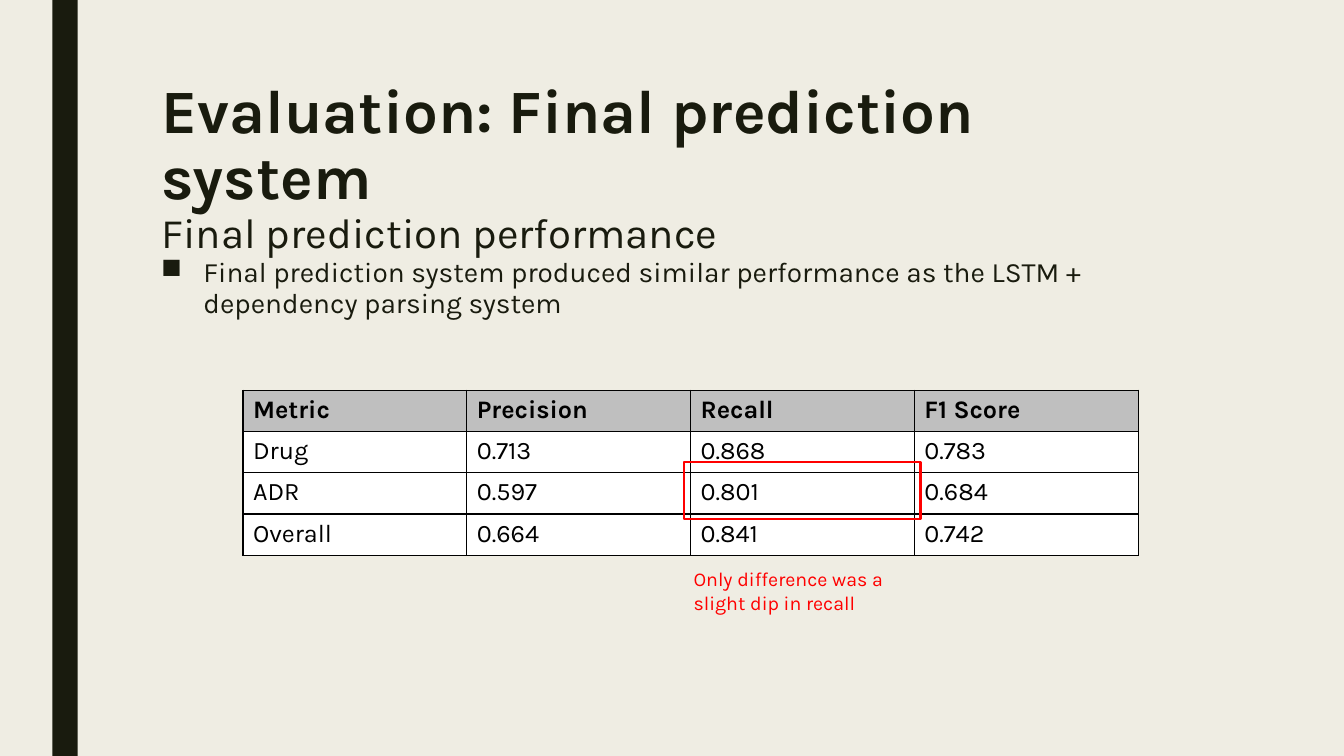
"""Slide on the performance of the final prediction system."""
from lxml import etree
from pptx import Presentation
from pptx.dml.color import RGBColor
from pptx.enum.shapes import MSO_SHAPE
from pptx.enum.text import MSO_ANCHOR, PP_ALIGN
from pptx.oxml.ns import qn
from pptx.util import Inches, Pt

RECTANGLE = MSO_SHAPE.RECTANGLE
TOP, LEFT = MSO_ANCHOR.TOP, PP_ALIGN.LEFT
CREAM = RGBColor(0xEF, 0xED, 0xE3)
DARK = RGBColor(0x19, 0x1B, 0x0E)
GREY = RGBColor(0xBF, 0xBF, 0xBF)
WHITE = RGBColor(0xFF, 0xFF, 0xFF)
BLACK = RGBColor(0x00, 0x00, 0x00)
RED = RGBColor(0xFF, 0x00, 0x00)

MARGIN, CONTENT_WIDTH = Inches(1.5), Inches(10.5)
TABLE_LEFT, TABLE_TOP = Inches(2.41), Inches(3.87)
COLUMN_WIDTH, ROW_HEIGHT = Inches(2.22), Inches(0.41)
SCORES = [
    ("Metric", "Precision", "Recall", "F1 Score"),
    ("Drug", "0.713", "0.868", "0.783"),
    ("ADR", "0.597", "0.801", "0.684"),
    ("Overall", "0.664", "0.841", "0.742"),
]


def add_text(paragraph, text, size, color, bold=False):
    run = paragraph.add_run()
    run.text = text
    font_format = {"name": "Karla", "size": Pt(size), "bold": bold}
    for attribute, value in font_format.items():
        setattr(run.font, attribute, value)
    run.font.color.rgb = color


def add_border(cell, edge):
    line = etree.SubElement(cell._tc.get_or_add_tcPr(), qn(f"a:{edge}"), w=str(Pt(1)))
    fill = etree.SubElement(line, qn("a:solidFill"))
    etree.SubElement(fill, qn("a:srgbClr"), val=str(BLACK))


prs = Presentation()
prs.slide_width, prs.slide_height = Inches(13.33), Inches(7.5)
slide = prs.slides.add_slide(prs.slide_layouts[5])
shapes = slide.shapes
slide.background.fill.solid()
slide.background.fill.fore_color.rgb = CREAM

side_bar = shapes.add_shape(RECTANGLE, Inches(0.52), 0, Inches(0.25), prs.slide_height)
side_bar.shadow.inherit = False
side_bar.fill.solid()
side_bar.fill.fore_color.rgb = DARK
side_bar.line.fill.background()

title = shapes.title
title_place = {"left": MARGIN, "top": Inches(0.75), "width": CONTENT_WIDTH, "height": Inches(1.62)}
for attribute, value in title_place.items():
    setattr(title, attribute, value)
title.text_frame.word_wrap = True
title.text_frame.vertical_anchor = TOP
heading = title.text_frame.paragraphs[0]
heading.alignment = LEFT
heading.line_spacing = 0.89
add_text(heading, "Evaluation: Final prediction system", 44, DARK, bold=True)
heading.add_line_break()
add_text(heading, "Final prediction performance", 30, DARK)

finding = shapes.add_textbox(MARGIN, Inches(2.5), CONTENT_WIDTH, Inches(3.92)).text_frame
finding.word_wrap = True
bullet = finding.paragraphs[0]
bullet.line_spacing = 0.94
bullet.space_after = Pt(2)
bullet_format = bullet._p.get_or_add_pPr()
bullet_format.set("marL", str(Inches(0.42)))
bullet_format.set("indent", str(-Inches(0.42)))
etree.SubElement(bullet_format, qn("a:buChar"), char="■")
add_text(
    bullet,
    "Final prediction system produced similar performance as the LSTM + dependency parsing system",
    20,
    DARK,
)

row_count, column_count = len(SCORES), len(SCORES[0])
table = shapes.add_table(
    row_count, column_count, TABLE_LEFT, TABLE_TOP,
    column_count * COLUMN_WIDTH, row_count * ROW_HEIGHT,
).table
for column in table.columns:
    column.width = COLUMN_WIDTH
for row_index, scores in enumerate(SCORES):
    table.rows[row_index].height = ROW_HEIGHT
    is_header = row_index == 0
    for column_index, score in enumerate(scores):
        cell = table.cell(row_index, column_index)
        add_text(cell.text_frame.paragraphs[0], score, 18, BLACK, bold=is_header)
        for edge in ("lnL", "lnR", "lnT", "lnB"):
            add_border(cell, edge)
        cell.fill.solid()
        cell.fill.fore_color.rgb = GREY if is_header else WHITE

recall_note = shapes.add_textbox(Inches(6.78), Inches(5.58), Inches(2.09), Inches(0.57)).text_frame
recall_note.word_wrap = True
add_text(recall_note.paragraphs[0], "Only difference was a slight dip in recall", 14, RED)

recall_frame = shapes.add_shape(RECTANGLE, Inches(6.78), Inches(4.58), Inches(2.35), Inches(0.57))
recall_frame.shadow.inherit = False
recall_frame.fill.background()
recall_frame.line.color.rgb = RED
recall_frame.line.width = Pt(1.5)

prs.save("out.pptx")
